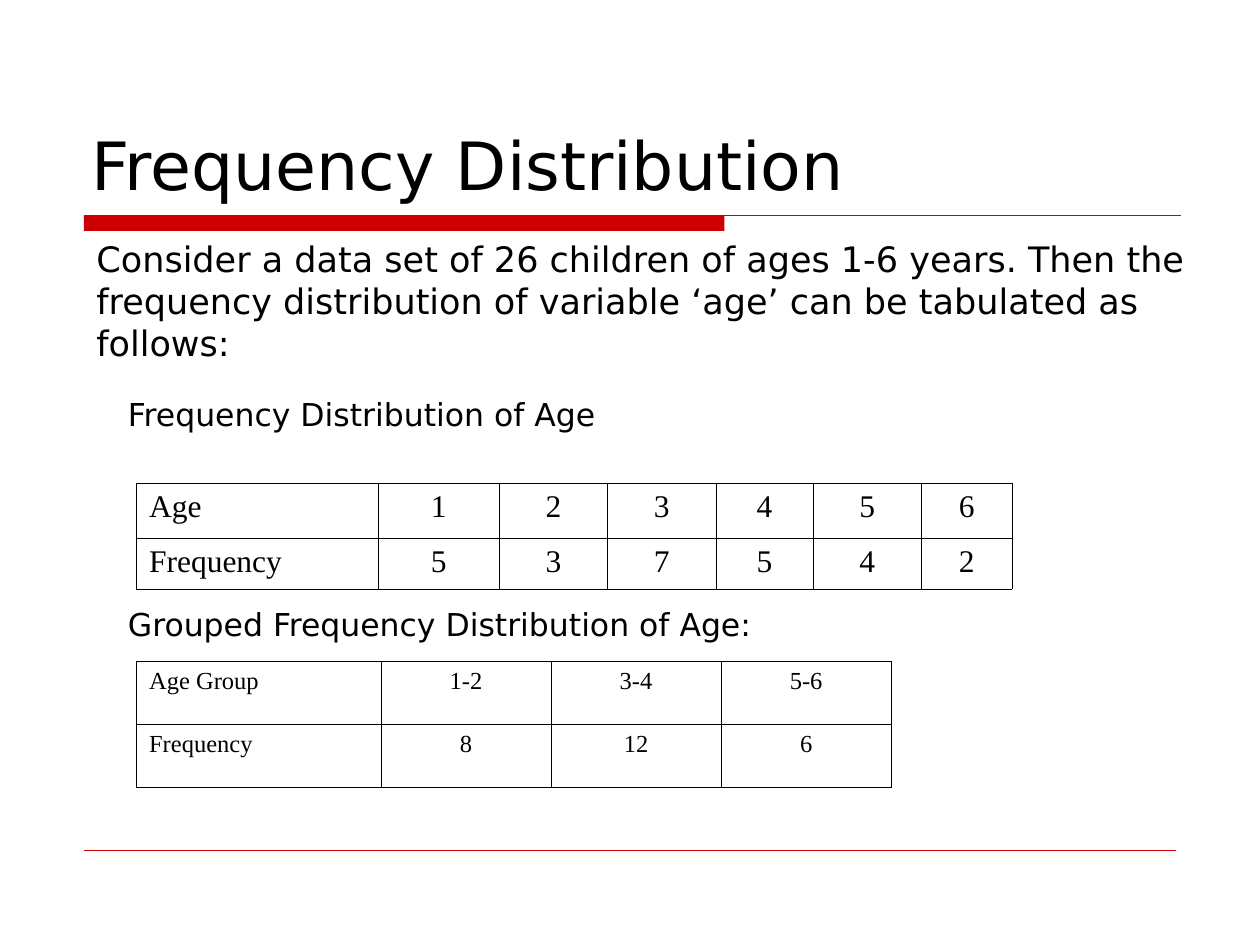
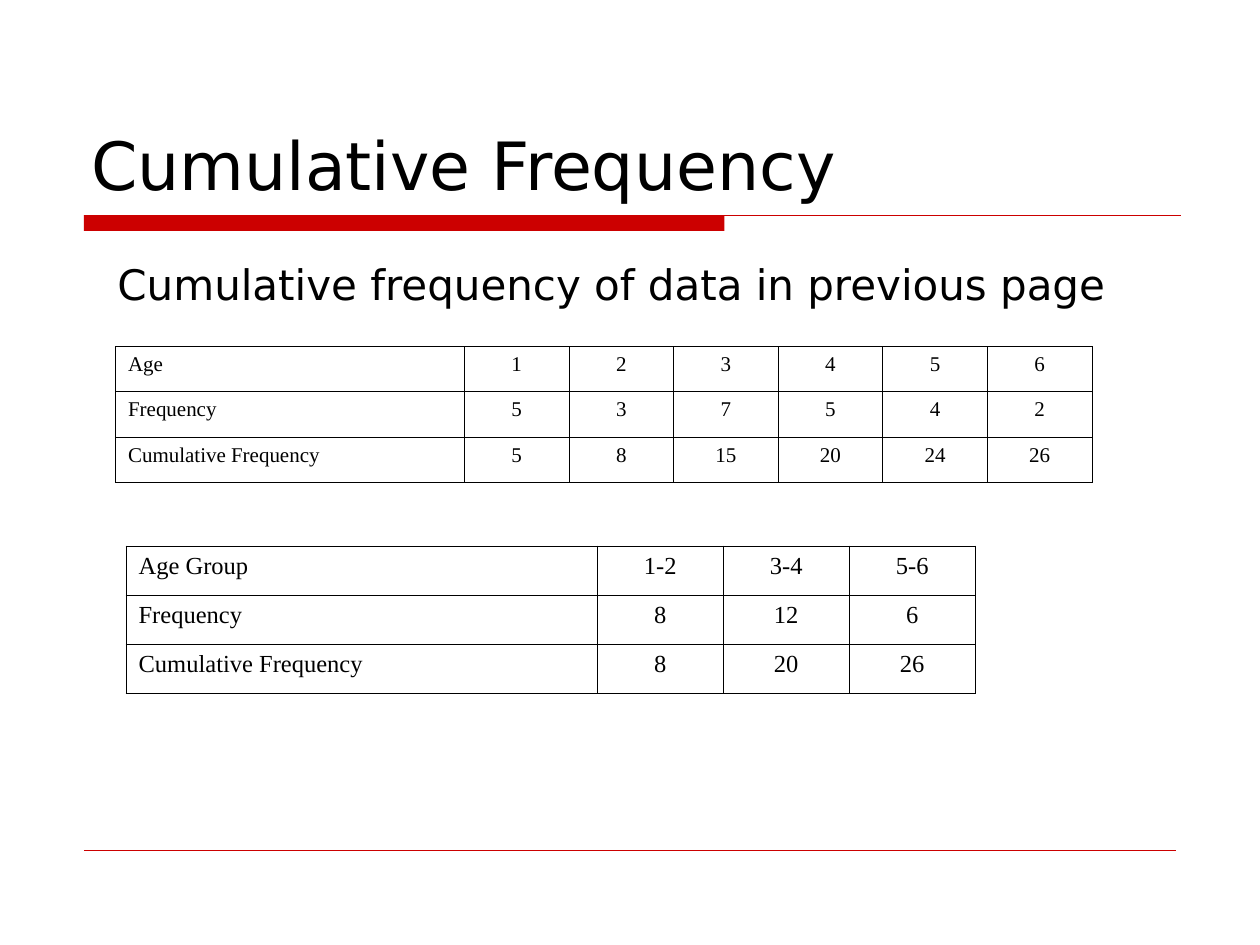
from itertools import accumulate

from lxml import etree
from pptx import Presentation
from pptx import util as u
from pptx.dml.color import RGBColor
from pptx.enum import shapes, text
from pptx.oxml.ns import qn

RED = RGBColor(0xCC, 0x00, 0x00)
BLACK = RGBColor(0x00, 0x00, 0x00)
SANS, SERIF = "DejaVu Sans", "Times New Roman"

# Content: the ages and age groups, with how many children fall in each
AGES = ["1", "2", "3", "4", "5", "6"]
AGE_COUNTS = [5, 3, 7, 5, 4, 2]
GROUPS = ["1-2", "3-4", "5-6"]
GROUP_COUNTS = [8, 12, 6]

AGE_ROWS = [["Age", *AGES], ["Frequency", *AGE_COUNTS]]
GROUP_ROWS = [["Age Group", *GROUPS], ["Frequency", *GROUP_COUNTS]]


def with_running_total(rows):
    return rows + [["Cumulative Frequency", *accumulate(rows[1][1:])]]


# Boxes and corners count cells of a grid with 12 cells to the inch.
# Table columns and rows are in inches.
CELL = u.Inches(1) / 12
TITLE_BOX = (7.5, 4, 105, 16)
RULE_LEFT, RULE_TOP, RULE_RIGHT = 8, 20.5, 112.5
BAND_WIDTH, BAND_HEIGHT = 61, 1.5
FOOTER_TOP, FOOTER_RIGHT = 81, 112

PAGES = [
    {
        "title": "Frequency Distribution",
        "texts": [
            ("Consider a data set of 26 children of ages 1-6 years. Then the "
             "frequency distribution of variable ‘age’ can be tabulated as "
             "follows:", (8, 22, 112, 9.25), 20),
            ("Frequency Distribution of Age", (11, 37, 50, 4.75), 18),
            ("Grouped Frequency Distribution of Age:", (11, 57, 99, 4.75), 18),
        ],
        "tables": [
            {"rows": AGE_ROWS, "corner": (13, 46), "size": 18,
             "columns": [1.92, 0.96, 0.86, 0.86, 0.77, 0.86, 0.72],
             "heights": [0.44, 0.4]},
            {"rows": GROUP_ROWS, "corner": (13, 63), "size": 14,
             "columns": [1.94] + [1.35] * 3, "heights": [0.5] * 2},
        ],
    },
    {
        "title": "Cumulative Frequency",
        "texts": [
            ("Cumulative frequency of data in previous page",
             (10, 24, 104, 6), 24),
        ],
        "tables": [
            {"rows": with_running_total(AGE_ROWS), "corner": (11, 33),
             "size": 12, "columns": [2.77] + [0.83] * 6, "heights": [0.36] * 3},
            {"rows": with_running_total(GROUP_ROWS), "corner": (12, 52),
             "size": 14, "columns": [3.74] + [1.0] * 3, "heights": [0.39] * 3},
        ],
    },
]


def grid(*cells):
    return [u.Emu(round(cell * CELL)) for cell in cells]


def write(frame, words, size, font, align=text.PP_ALIGN.LEFT):
    para = frame.paragraphs[0]
    para.alignment = align
    span = para.add_run()
    span.text = str(words)
    span.font.color.rgb = BLACK
    for name, value in {"name": font, "size": u.Pt(size)}.items():
        setattr(span.font, name, value)


def add_text(page, words, area, size, anchor=text.MSO_ANCHOR.TOP):
    frame = page.shapes.add_textbox(*grid(*area)).text_frame
    frame.word_wrap = True
    frame.vertical_anchor = anchor
    write(frame, words, size, SANS)


def add_rule(page, top, right, width):
    """Draw a level red line from the left margin."""
    line = page.shapes.add_connector(
        shapes.MSO_CONNECTOR.STRAIGHT, *grid(RULE_LEFT, top, right, top))
    line.line.color.rgb = RED
    line.line.width = u.Pt(width)
    etree.SubElement(line._element.spPr, qn("a:effectLst"))


def add_frame(page, title):
    """Add what every page has: band, rules and title."""
    band = page.shapes.add_shape(
        shapes.MSO_SHAPE.RECTANGLE,
        *grid(RULE_LEFT, RULE_TOP, BAND_WIDTH, BAND_HEIGHT))
    band.shadow.inherit = False
    band.fill.solid()
    band.fill.fore_color.rgb = RED
    band.line.fill.background()
    add_rule(page, RULE_TOP, RULE_RIGHT, 0.75)
    add_rule(page, FOOTER_TOP, FOOTER_RIGHT, 0.25)
    add_text(page, title, TITLE_BOX, 38, text.MSO_ANCHOR.BOTTOM)


def add_borders(cell):
    props = cell._tc.get_or_add_tcPr()
    for side in ("lnL", "lnR", "lnT", "lnB"):
        edge = etree.SubElement(props, qn(f"a:{side}"), w=str(u.Pt(0.45)))
        fill = etree.SubElement(edge, qn("a:solidFill"))
        etree.SubElement(fill, qn("a:srgbClr"), val=str(BLACK))


def add_table(page, rows, corner, size, columns, heights):
    table = page.shapes.add_table(
        len(rows), len(columns), *grid(*corner),
        u.Inches(sum(columns)), u.Inches(sum(heights))).table
    for name in ("first_row", "horz_banding"):
        setattr(table, name, False)
    for column, width in zip(table.columns, columns):
        column.width = u.Inches(width)
    for row, height, values in zip(table.rows, heights, rows):
        row.height = u.Inches(height)
        for number, (cell, value) in enumerate(zip(row.cells, values)):
            add_borders(cell)
            cell.fill.background()
            align = text.PP_ALIGN.CENTER if number else text.PP_ALIGN.LEFT
            write(cell.text_frame, value, size, SERIF, align)


def main():
    deck = Presentation()
    deck.slide_width, deck.slide_height = u.Inches(10), u.Inches(7.5)
    for content in PAGES:
        page = deck.slides.add_slide(deck.slide_layouts[6])
        add_frame(page, content["title"])
        for words, area, size in content["texts"]:
            add_text(page, words, area, size)
        for table in content["tables"]:
            add_table(page, **table)
    deck.save("out.pptx")


if __name__ == "__main__":
    main()
